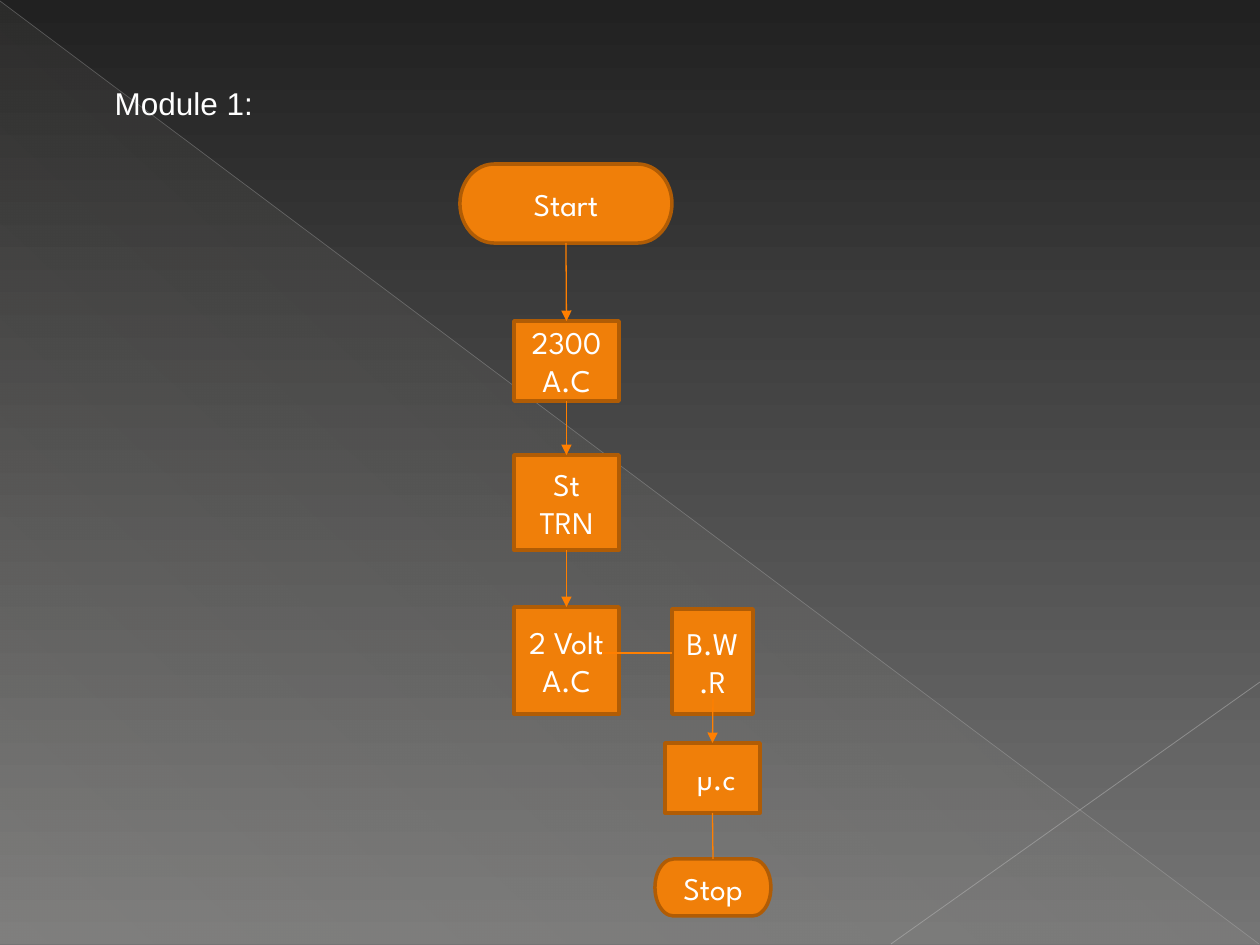
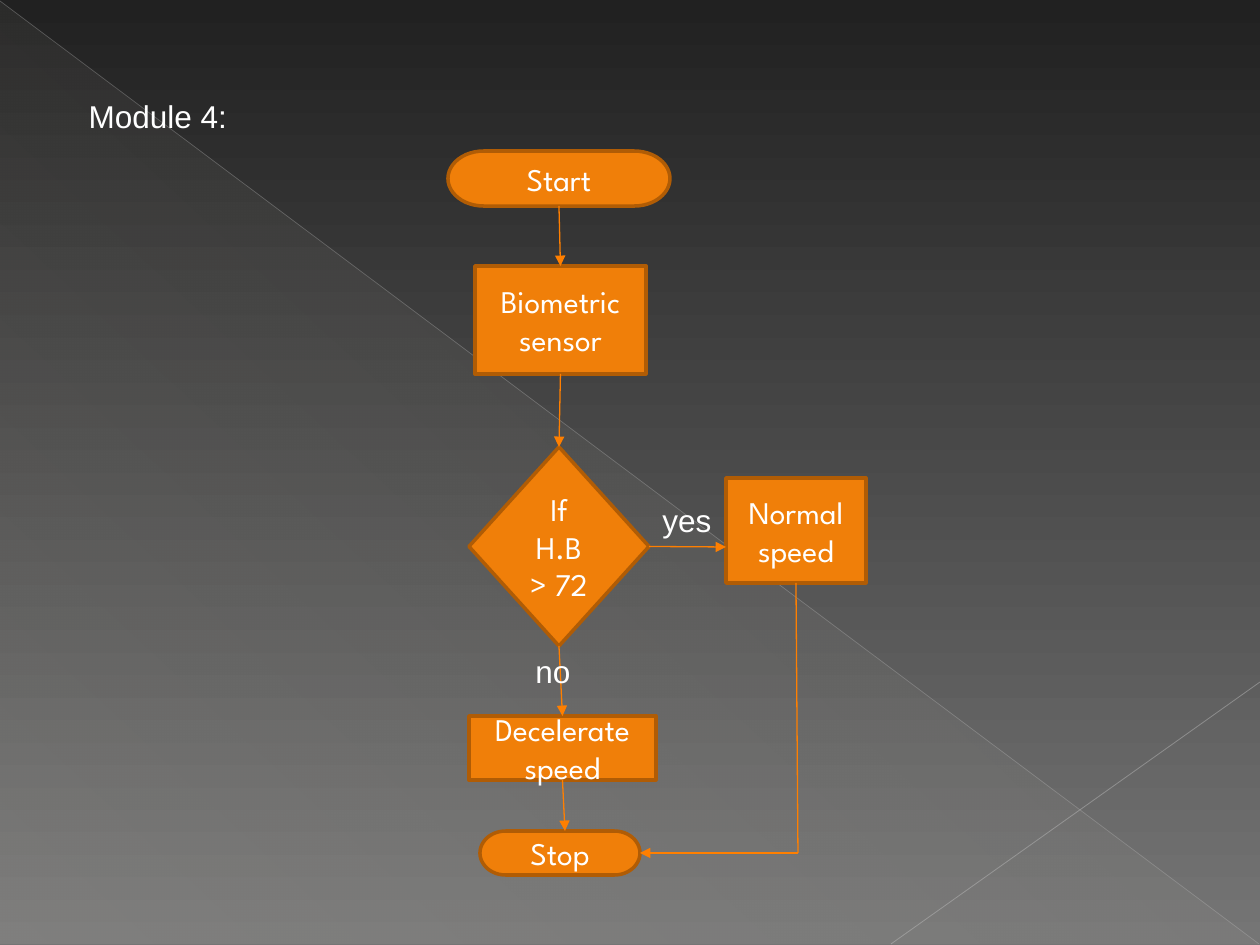
import lxml.etree
import pptx
import pptx.dml.color
import pptx.enum.shapes
import pptx.enum.text
import pptx.oxml.ns
import pptx.util

PX = 914400 / 126  # EMU in one pixel

WHITE = pptx.dml.color.RGBColor(0xFF, 0xFF, 0xFF)
ORANGE = pptx.dml.color.RGBColor(0xF0, 0x7F, 0x09)
BROWN = pptx.dml.color.RGBColor(0xB0, 0x5C, 0x05)
ARROW_ORANGE = pptx.dml.color.RGBColor(0xFF, 0x7F, 0x00)
DARK_GREY = pptx.dml.color.RGBColor(0x21, 0x21, 0x21)
MID_GREY = pptx.dml.color.RGBColor(0x75, 0x75, 0x75)
SAND = pptx.dml.color.RGBColor(0xE3, 0xDE, 0xD1)
LONG_RULE = pptx.dml.color.RGBColor(0xB6, 0xB6, 0xB6)
SHORT_RULE = pptx.dml.color.RGBColor(0xBE, 0xBE, 0xBE)

LABEL_FONT = "Arial"
BOX_FONT = "League Spartan"

SHAPE = pptx.enum.shapes.MSO_SHAPE
TERMINATOR, STEP, DECISION = SHAPE.FLOWCHART_TERMINATOR, SHAPE.RECTANGLE, SHAPE.DIAMOND
ALIGN = pptx.enum.text.PP_ALIGN
ANCHOR = pptx.enum.text.MSO_ANCHOR
TOP, LEFT, BOTTOM, RIGHT = range(4)
qn = pptx.oxml.ns.qn


def write_text(shape, text, font=LABEL_FONT, size=18, color=WHITE,
               align=ALIGN.LEFT, anchor=ANCHOR.TOP):
    frame = shape.text_frame
    frame.text = text
    frame.word_wrap = True
    frame.auto_size = pptx.enum.text.MSO_AUTO_SIZE.NONE
    frame.vertical_anchor = anchor
    for para in frame.paragraphs:
        para.alignment = align
        for span in para.runs:
            span.font.name = font
            span.font.size = pptx.util.Pt(size)
            span.font.color.rgb = color


def draw_line(page, ends, boxes=None, color=ARROW_ORANGE, width=0.75, arrow=False, opacity=100):
    """Each end is a point in px, or a box name with a side to join."""
    points = [(0, 0) if isinstance(end[0], str) else end for end in ends]
    line = page.shapes.add_connector(
        pptx.enum.shapes.MSO_CONNECTOR.STRAIGHT,
        *[round(value * PX) for point in points for value in point])
    for end, join in zip(ends, (line.begin_connect, line.end_connect)):
        if isinstance(end[0], str):
            join(boxes[end[0]], end[1])
    line.line.color.rgb = color
    line.line.width = pptx.util.Pt(width)
    properties = line.element.spPr
    if opacity < 100:
        paint = next(properties.iter(qn("a:srgbClr")))
        lxml.etree.SubElement(paint, qn("a:alpha"), val=str(opacity * 1000))
    if arrow:
        lxml.etree.SubElement(properties.find(qn("a:ln")), qn("a:tailEnd"), type="triangle")
    lxml.etree.SubElement(properties, qn("a:effectLst"))
    return line


# Each flowchart: title, boxes, lines (ends, arrow) and loose labels, all in px
flowcharts = [
    {
        "title": ("Module 1:", 102, 78, 233, 50),
        "boxes": [
            ("Start", TERMINATOR, 460, 164, 212, 79),
            ("2300 A.C", STEP, 514, 321, 105, 80),
            ("St\nTRN", STEP, 514, 455, 105, 95),
            ("2 Volt A.C", STEP, 514, 607, 105, 107),
            ("B.W.R", STEP, 672, 609, 81, 105),
            (" µ.c", STEP, 665, 743, 95, 70),
            ("Stop", TERMINATOR, 655, 859, 116, 57),
        ],
        "lines": [
            (("Start", BOTTOM), ("2300 A.C", TOP), True),
            (("2300 A.C", BOTTOM), ("St\nTRN", TOP), True),
            (("St\nTRN", BOTTOM), ("2 Volt A.C", TOP), True),
            ((602, 653), (672, 653), False),
            ((713, 699), (" µ.c", TOP), True),
            ((" µ.c", BOTTOM), ("Stop", TOP), False),
        ],
        "labels": [],
    },
    {
        "title": ("Module 4:", 76, 91, 190, 88),
        "boxes": [
            ("Start", TERMINATOR, 448, 151, 222, 55),
            ("Biometric sensor", STEP, 475, 266, 171, 108),
            ("If H.B > 72", DECISION, 469, 447, 180, 199),
            ("Normal speed", STEP, 726, 478, 140, 105),
            ("Decelerate speed", STEP, 469, 716, 187, 64),
            ("Stop", TERMINATOR, 480, 831, 160, 44),
        ],
        "lines": [
            (("Start", BOTTOM), ("Biometric sensor", TOP), True),
            (("Biometric sensor", BOTTOM), ("If H.B > 72", TOP), True),
            (("If H.B > 72", RIGHT), (726, 547), True),
            (("If H.B > 72", BOTTOM), ("Decelerate speed", TOP), True),
            (("Decelerate speed", BOTTOM), (565, 831), True),
            (("Normal speed", BOTTOM), (798, 853), False),
            ((798, 853), ("Stop", RIGHT), True),
        ],
        "labels": [("yes", 650, 495, 77, 50), ("no", 523, 646, 81, 50)],
    },
]

deck = pptx.Presentation()
deck.slide_width = round(1260 * PX)
deck.slide_height = round(945 * PX)
master = deck.slide_master
title_only = deck.slide_layouts[5]
pages = [deck.slides.add_slide(title_only) for chart in flowcharts]

# Shared background and decoration, kept on the master
backdrop = master.background.fill
backdrop.gradient()
backdrop.gradient_angle = 270
for stop, color in zip(backdrop.gradient_stops, (DARK_GREY, MID_GREY)):
    stop.color.rgb = color

triangle = pages[0].shapes.add_shape(
    SHAPE.RIGHT_TRIANGLE, *[round(value * PX) for value in (1, 2, 1259, 942)])
triangle.shadow.inherit = False
triangle.line.fill.background()
triangle.fill.gradient()
triangle.fill.gradient_angle = 227
for stop in triangle.fill.gradient_stops:
    stop.color.rgb = SAND
for paint, opacity in zip(triangle.element.spPr.iter(qn("a:srgbClr")), (1, 10)):
    lxml.etree.SubElement(paint, qn("a:alpha"), val=str(opacity * 1000))

long_rule = draw_line(pages[0], [(0, 1), (1259, 944)], color=LONG_RULE, width=0.4, opacity=35)
short_rule = draw_line(pages[0], [(1260, 682), (891, 944)], color=SHORT_RULE, width=0.48, opacity=45)
for decoration in (triangle, long_rule, short_rule):
    master.shapes.element.append(decoration.element)

for page, chart in zip(pages, flowcharts):
    text, *place = chart["title"]
    title = page.shapes.title
    title.left, title.top, title.width, title.height = [round(value * PX) for value in place]
    write_text(title, text)

    boxes = {}
    for text, kind, *place in chart["boxes"]:
        box = page.shapes.add_shape(kind, *[round(value * PX) for value in place])
        box.shadow.inherit = False
        box.fill.solid()
        box.fill.fore_color.rgb = ORANGE
        box.line.color.rgb = BROWN
        box.line.width = pptx.util.Pt(2)
        write_text(box, text, font=BOX_FONT, align=ALIGN.CENTER, anchor=ANCHOR.MIDDLE)
        boxes[text] = box

    for start, end, arrow in chart["lines"]:
        draw_line(page, [start, end], boxes, arrow=arrow)

    for text, *place in chart["labels"]:
        label = page.shapes.add_textbox(*[round(value * PX) for value in place])
        write_text(label, text)

deck.save("out.pptx")
